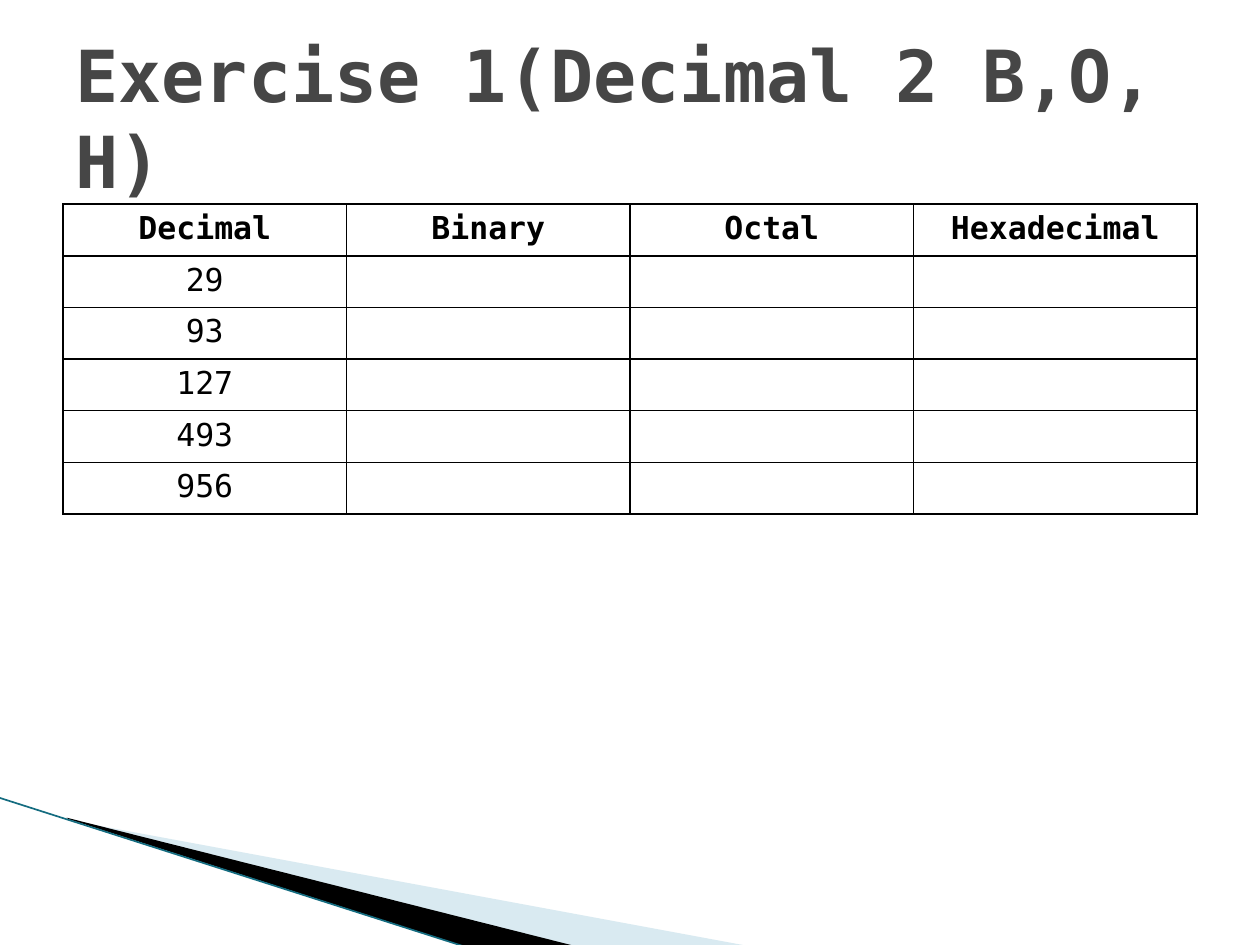
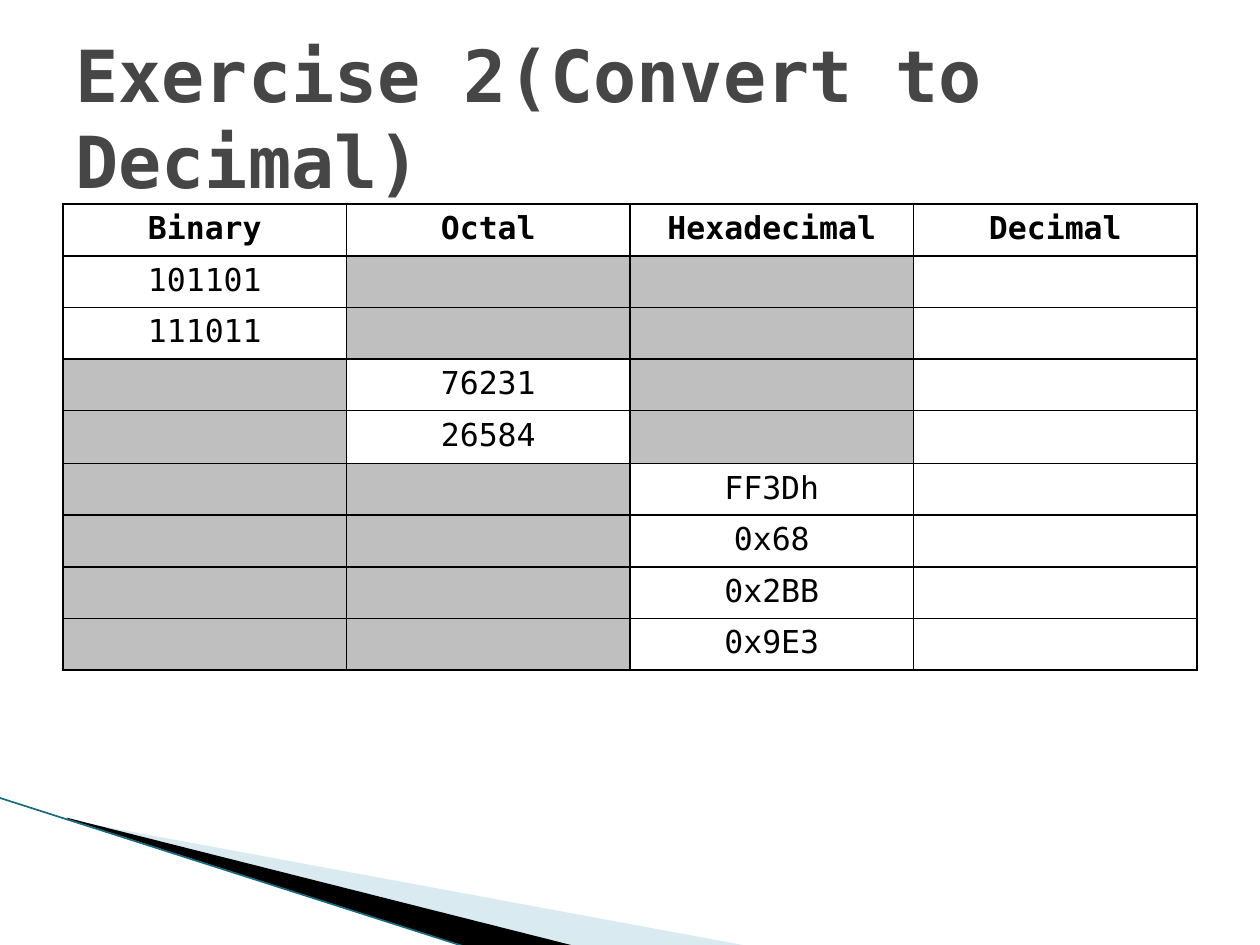
import pptx
import pptx.util
import pptx.dml.color
import pptx.enum.text
import pptx.oxml.ns
import lxml.etree

Inches = pptx.util.Inches
Pt = pptx.util.Pt
RGBColor = pptx.dml.color.RGBColor
qn = pptx.oxml.ns.qn

FONT = "DejaVu Sans Mono"
GREY = RGBColor(0x46, 0x46, 0x46)
BLACK = RGBColor(0, 0, 0)
SHADE = RGBColor(0xBF, 0xBF, 0xBF)
PALE = RGBColor(0xA0, 0xCB, 0xDC)
TEAL = RGBColor(0x14, 0x6C, 0x80)

# Colour, opacity in percent, corners
WEDGES = [
    (PALE, 40, [(0.55, 6.51), (5.95, 7.51), (4.56, 7.51), (0.55, 6.5)]),
    (BLACK, 100, [(0.53, 6.49), (4.57, 7.51), (3.72, 7.52), (0.54, 6.5)]),
]

# Title, header, column of values, row heights, whether unused cells are shaded
TASKS = [
    ("Exercise 1(Decimal 2 B,O, H)",
     ["Decimal", "Binary", "Octal", "Hexadecimal"],
     [("29", 0), ("93", 0), ("127", 0), ("493", 0), ("956", 0)], False),
    ("Exercise 2(Convert to Decimal)",
     ["Binary", "Octal", "Hexadecimal", "Decimal"],
     [("101101", 0), ("111011", 0), ("76231", 1), ("26584", 1),
      ("FF3Dh", 2), ("0x68", 2), ("0x2BB", 2), ("0x9E3", 2)], True),
]


def add_run(para, text, size, color, bold):
    """Add one styled run to a paragraph."""
    run = para.add_run()
    run.text = text
    run.font.name = FONT
    run.font.size = Pt(size)
    run.font.bold = bold
    run.font.color.rgb = color


def add_edges(cell):
    """Draw a thin black border on all four sides of a cell."""
    props = cell._tc.get_or_add_tcPr()
    for spot, side in enumerate(("a:lnL", "a:lnR", "a:lnT", "a:lnB")):
        line = lxml.etree.Element(qn(side), w=str(Pt(1)))
        fill = lxml.etree.SubElement(line, qn("a:solidFill"))
        lxml.etree.SubElement(fill, qn("a:srgbClr"), val=str(BLACK))
        props.insert(spot, line)


deck = pptx.Presentation()
deck.slide_width = Inches(10)
deck.slide_height = Inches(7.5)

for title, heads, items, shaded in TASKS:
    slide = deck.slides.add_slide(deck.slide_layouts[6])
    shapes = slide.shapes

    # Corner band
    for color, alpha, spots in WEDGES:
        spots = [(Inches(x), Inches(y)) for x, y in spots]
        pen = shapes.build_freeform(*spots[0])
        pen.add_line_segments(spots[1:])
        wedge = pen.convert_to_shape()
        wedge.shadow.inherit = False
        wedge.fill.solid()
        wedge.fill.fore_color.rgb = color
        wedge.line.fill.background()
        if alpha < 100:
            tone = wedge._element.spPr.find(".//" + qn("a:srgbClr"))
            lxml.etree.SubElement(tone, qn("a:alpha"), val=str(alpha * 1000))
    edge = shapes.add_connector(1, Inches(-0.01), Inches(6.33),
                                Inches(3.71), Inches(7.52))
    edge.line.color.rgb = TEAL
    edge.line.width = Pt(0.95)
    lxml.etree.SubElement(edge._element.spPr, qn("a:effectLst"))

    # Title
    box = shapes.add_textbox(Inches(0.5), Inches(0.3), Inches(9), Inches(1.25))
    frame = box.text_frame
    frame.word_wrap = True
    frame.vertical_anchor = pptx.enum.text.MSO_ANCHOR.MIDDLE
    add_run(frame.paragraphs[0], title, 41, GREY, True)

    # Table
    count = len(items) + 1
    table = shapes.add_table(count, 4, Inches(0.5), Inches(1.62),
                             Inches(9), Inches(0.41) * count).table
    table.first_row = False
    table.horz_banding = False
    if shaded:
        table.rows[4].height = Inches(0.42)
    last = len(heads) - 1
    for row in range(count):
        for col in range(len(heads)):
            cell = table.cell(row, col)
            text = heads[col]
            if row:
                value, place = items[row - 1]
                text = value if col == place else ""
            if shaded and not text and col < last:
                cell.fill.solid()
                cell.fill.fore_color.rgb = SHADE
            else:
                cell.fill.background()
            add_edges(cell)
            para = cell.text_frame.paragraphs[0]
            para.alignment = pptx.enum.text.PP_ALIGN.CENTER
            if text:
                add_run(para, text, 18, BLACK, row == 0)

deck.save("out.pptx")
